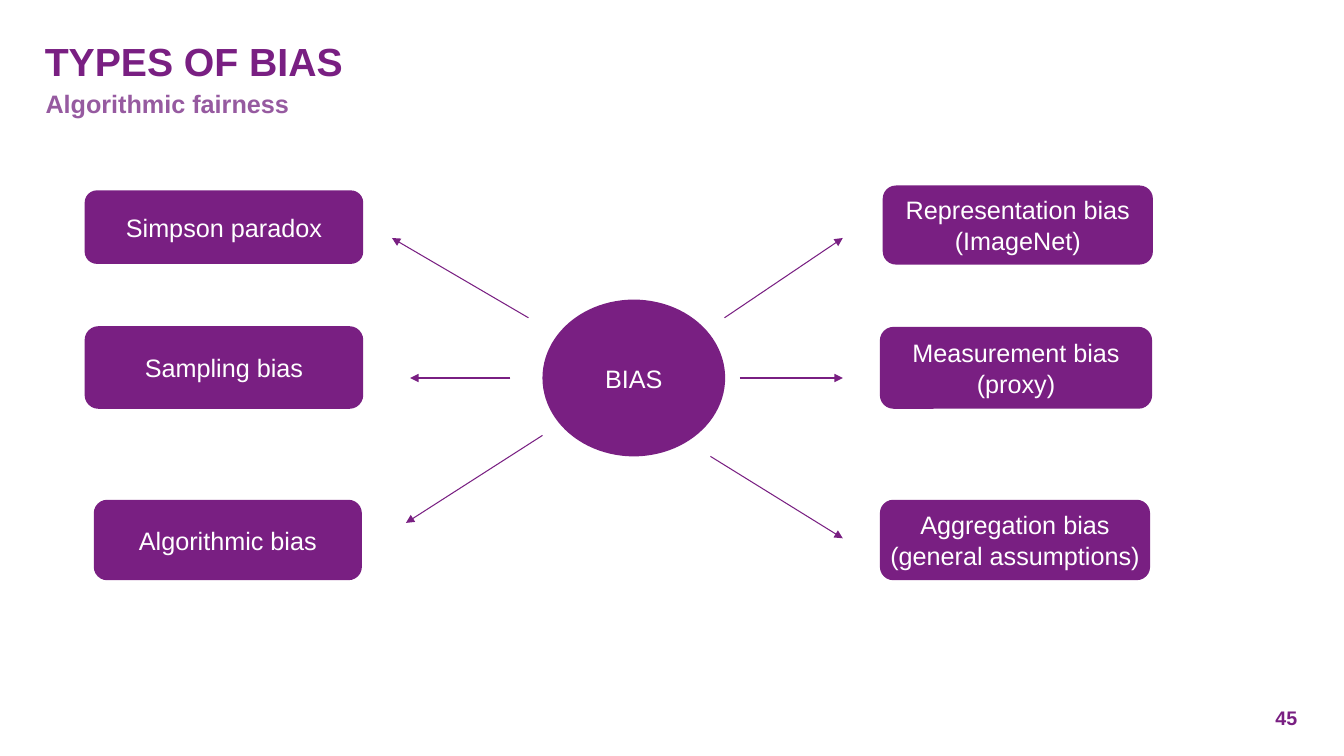
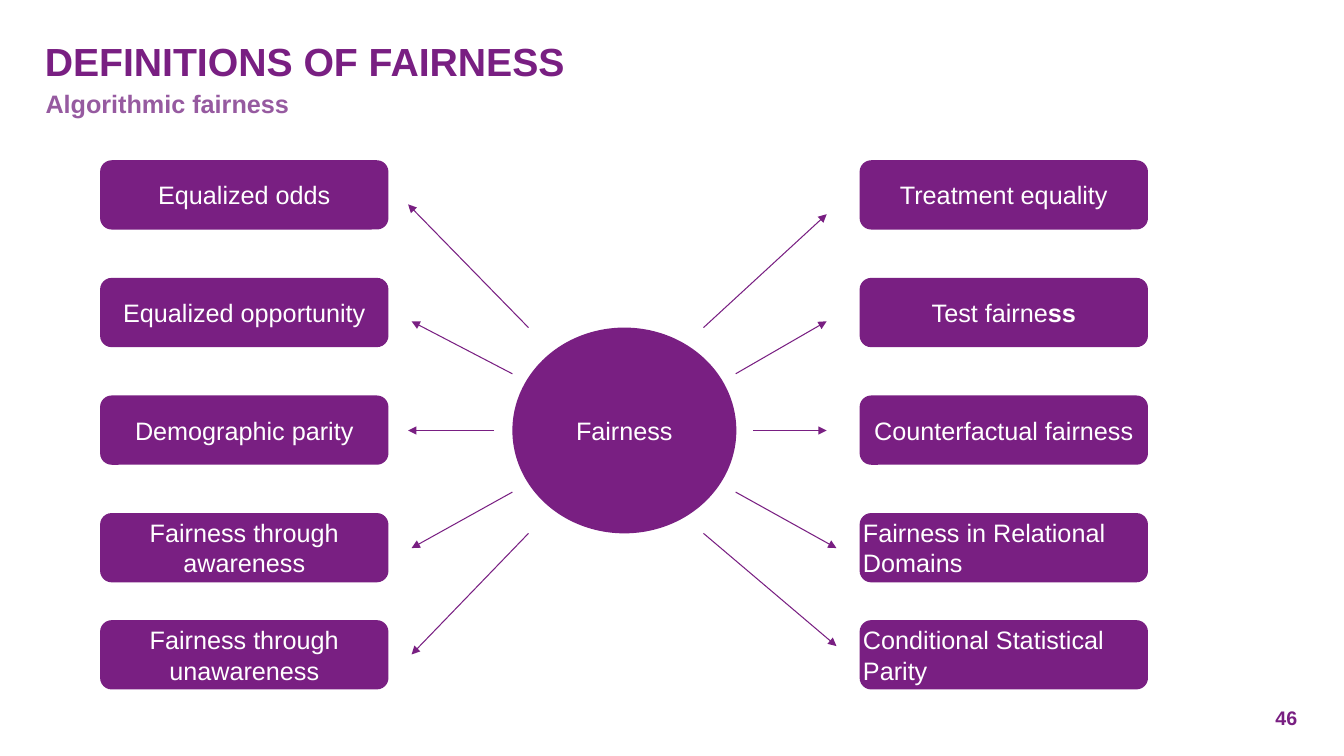
from pptx import Presentation
from pptx.dml.color import RGBColor
from pptx.enum.shapes import MSO_CONNECTOR, MSO_SHAPE
from pptx.enum.text import MSO_ANCHOR, MSO_AUTO_SIZE, PP_ALIGN
from pptx.oxml.ns import qn
from pptx.util import Pt
from lxml.etree import SubElement

# Shared style
FONT = "Arial"
PURPLE, LILAC, WHITE = "791F82", "965AA0", "FFFFFF"
LEFT, CENTER = PP_ALIGN.LEFT, PP_ALIGN.CENTER
TOP, MIDDLE, BOTTOM = MSO_ANCHOR.TOP, MSO_ANCHOR.MIDDLE, MSO_ANCHOR.BOTTOM
SUBTITLE = "Algorithmic fairness"

# Fairness grid: two columns, four equal steps and a closer last row
COLUMN_X = (71.5, 614)
ROW_Y = [114.5 + 84 * i for i in range(4)] + [443]
CELL = (206, 49.5)

# Labels: paragraphs are lists of runs, a run is (text, bold)
FAIRNESS_LABELS = [
    [("Equalized odds", CENTER), ("Equalized opportunity", CENTER),
     ("Demographic parity", CENTER), ("Fairness through awareness", CENTER),
     ("Fairness through unawareness", CENTER)],
    [("Treatment equality", CENTER),
     ([[("Test fairne", False), ("ss", True)]], CENTER),
     ("Counterfactual fairness", CENTER),
     ("Fairness in Relational Domains", LEFT),
     ("Conditional Statistical Parity", LEFT)],
]

# Boxes are (text, alignment, (left, top, width, height)), arrows (x1, y1, x2, y2)
SLIDES = [
    {
        "title": "TYPES OF BIAS", "number": "45",
        "hub": ("BIAS", (387.5, 214, 130.5, 112)),
        "boxes": [
            ("Representation bias (ImageNet)", CENTER, (630.5, 132.5, 193, 56.5)),
            ("Measurement bias\n(proxy)", CENTER, (628.5, 233.5, 194.5, 58.5)),
            ("Aggregation bias\n(general assumptions)", CENTER,
             (628.5, 357, 193, 57.5)),
            ("Simpson paradox", CENTER, (60.5, 136, 199, 52.5)),
            ("Sampling bias", CENTER, (60.5, 233, 199, 59)),
            ("Algorithmic bias", CENTER, (67, 357, 191.5, 57.5)),
        ],
        "arrows": [
            (517.5, 227, 602, 170), (528.5, 270, 602, 270),
            (507.5, 326, 602, 384.5), (377.5, 227, 280, 170),
            (364.5, 270, 293, 270), (387.5, 311, 290, 373.5),
        ],
    },
    {
        "title": "DEFINITIONS OF FAIRNESS", "number": "46",
        "hub": ("Fairness", (366, 234, 160, 147)),
        "boxes": [
            (text, align, (x, y, *CELL))
            for x, labels in zip(COLUMN_X, FAIRNESS_LABELS)
            for y, (text, align) in zip(ROW_Y, labels)
        ],
        "arrows": [
            (502.5, 234, 590.5, 153), (525.5, 267, 590.5, 229.5),
            (538, 307.5, 590.5, 307.5), (525.5, 351.5, 597.5, 391.5),
            (502.5, 381, 597.5, 461.5), (377.5, 234, 291.5, 146),
            (366, 267, 294, 229.5), (353, 307.5, 291.5, 307.5),
            (366, 351.5, 294, 391.5), (377.5, 381, 294, 467.5),
        ],
    },
]


def rgb(color):
    return RGBColor.from_string(color)


def place(sp, box):
    sp.left, sp.top, sp.width, sp.height = map(Pt, box)


def write(sp, text, size, color, bold=False, align=LEFT, anchor=MIDDLE, spacing=1.0):
    tf = sp.text_frame
    tf.word_wrap = True
    tf.auto_size = MSO_AUTO_SIZE.NONE
    tf.vertical_anchor = anchor
    tf.margin_left = tf.margin_right = tf.margin_top = tf.margin_bottom = 0
    if isinstance(text, str):
        text = [[(line, bold)] for line in text.split("\n")]
    for i, runs in enumerate(text):
        p = tf.add_paragraph() if i else tf.paragraphs[0]
        p.alignment, p.line_spacing, p.space_before = align, spacing, Pt(0)
        for run_text, run_bold in runs:
            r = p.add_run()
            r.text = run_text
            r.font.name, r.font.size, r.font.bold = FONT, Pt(size), run_bold
            r.font.color.rgb = rgb(color)


def add_node(s, kind, text, box, align=CENTER):
    sp = s.shapes.add_shape(kind, *map(Pt, box))
    sp.shadow.inherit = False
    sp.fill.solid()
    sp.fill.fore_color.rgb = rgb(PURPLE)
    sp.line.fill.background()
    write(sp, text, 18, WHITE, align=align)


def add_arrow(s, ends):
    arrow = s.shapes.add_connector(MSO_CONNECTOR.STRAIGHT, *map(Pt, ends))
    arrow.line.color.rgb = rgb(PURPLE)
    arrow.line.width = Pt(0.75)
    SubElement(arrow.line._get_or_add_ln(), qn("a:tailEnd"), type="triangle")
    SubElement(arrow._element.spPr, qn("a:effectLst"))


def add_frame(prs, title, number):
    s = prs.slides.add_slide(prs.slide_layouts[0])
    heading, subtitle = s.shapes.title, s.placeholders[1]
    place(heading, (32, 21, 894, 39.5))
    write(heading, title, 28, PURPLE, bold=True, anchor=BOTTOM)
    place(subtitle, (32.5, 58.5, 893.5, 34))
    write(subtitle, SUBTITLE, 18, LILAC, bold=True, anchor=TOP, spacing=1.2)
    page = s.shapes.add_textbox(*map(Pt, (911, 506, 26, 15)))
    write(page, number, 14, PURPLE, bold=True, anchor=BOTTOM)
    return s


def main():
    prs = Presentation()
    prs.slide_width, prs.slide_height = Pt(960), Pt(540)
    for content in SLIDES:
        s = add_frame(prs, content["title"], content["number"])
        add_node(s, MSO_SHAPE.OVAL, *content["hub"])
        for text, align, box in content["boxes"]:
            add_node(s, MSO_SHAPE.ROUNDED_RECTANGLE, text, box, align)
        for ends in content["arrows"]:
            add_arrow(s, ends)
    prs.save("out.pptx")


if __name__ == "__main__":
    main()
